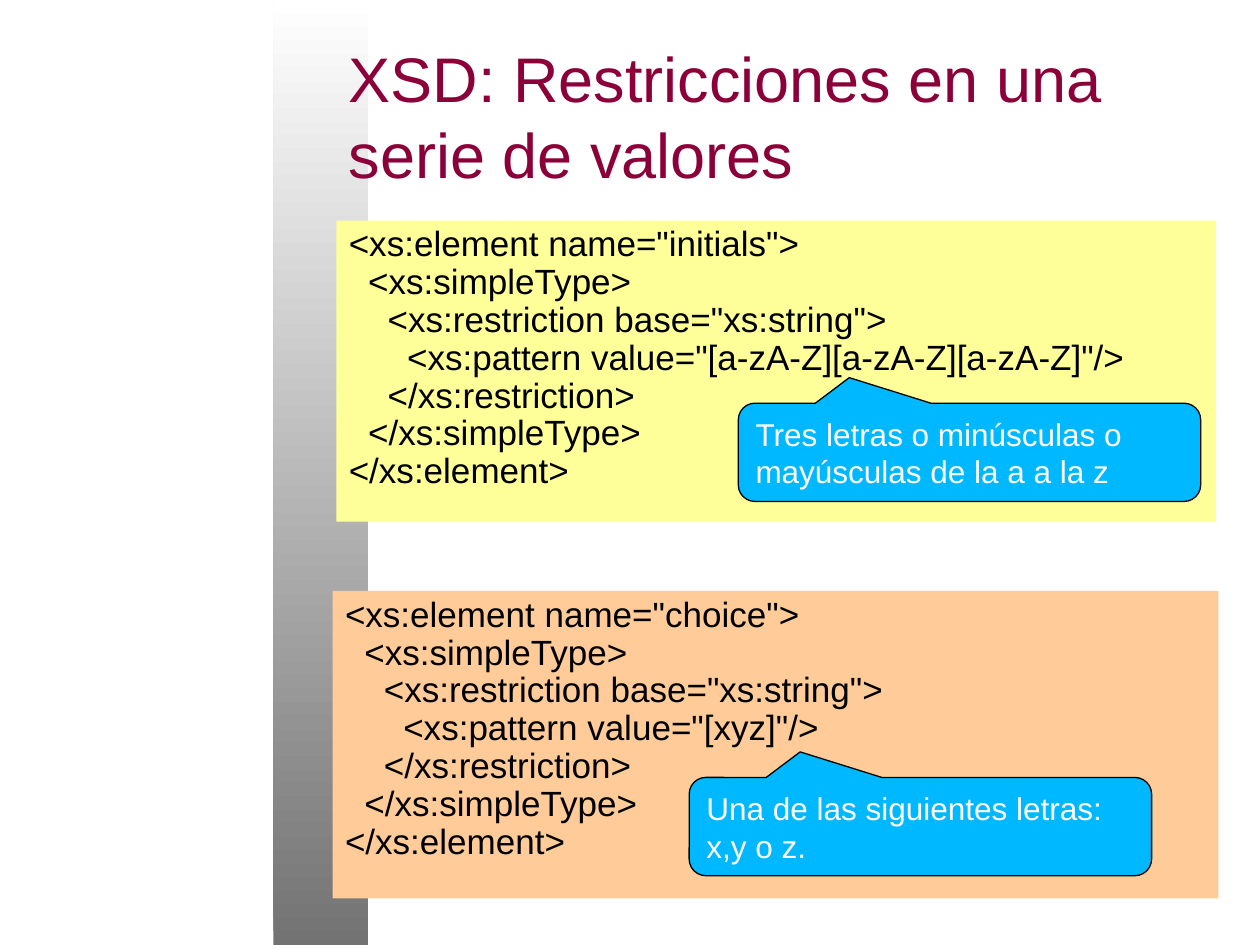
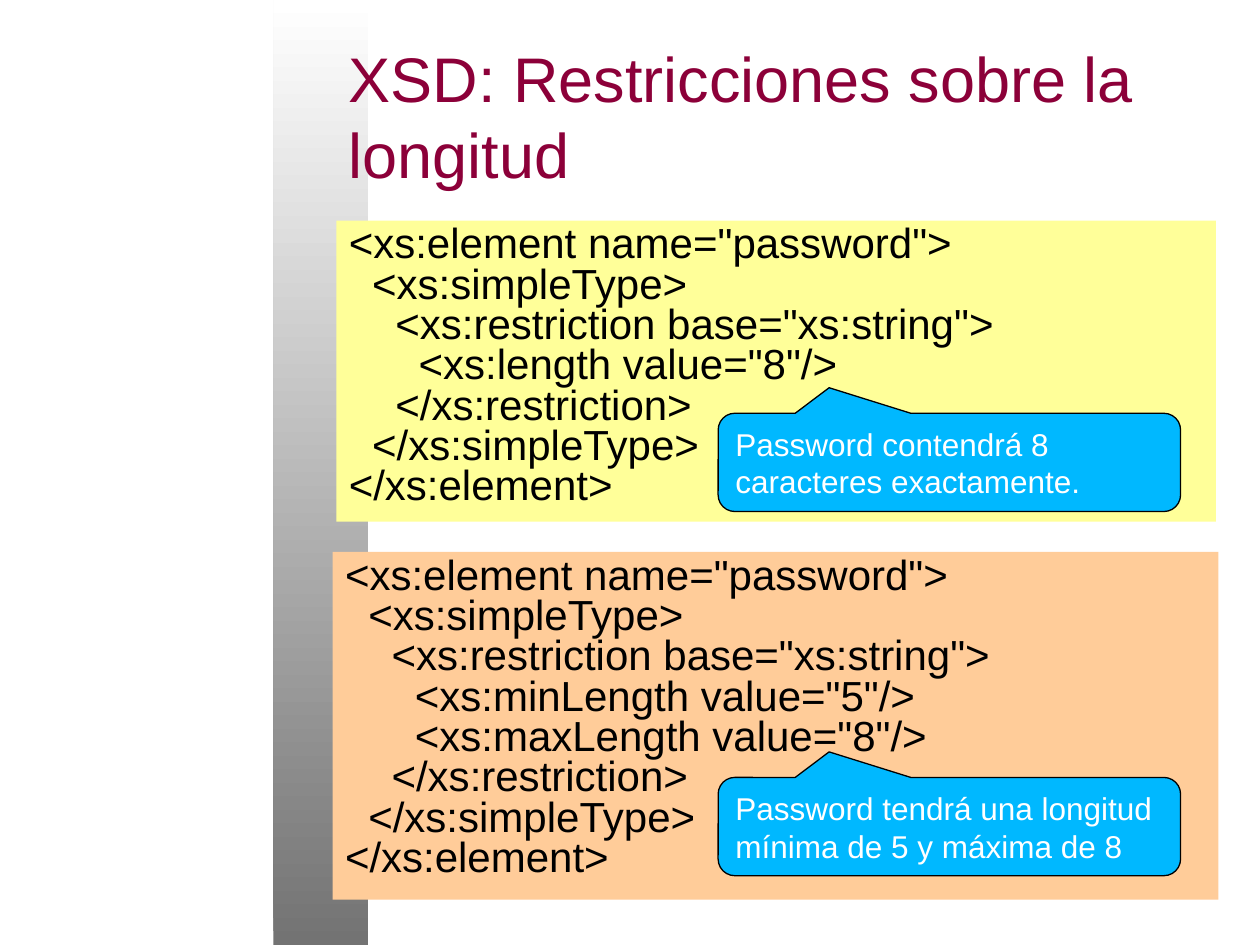
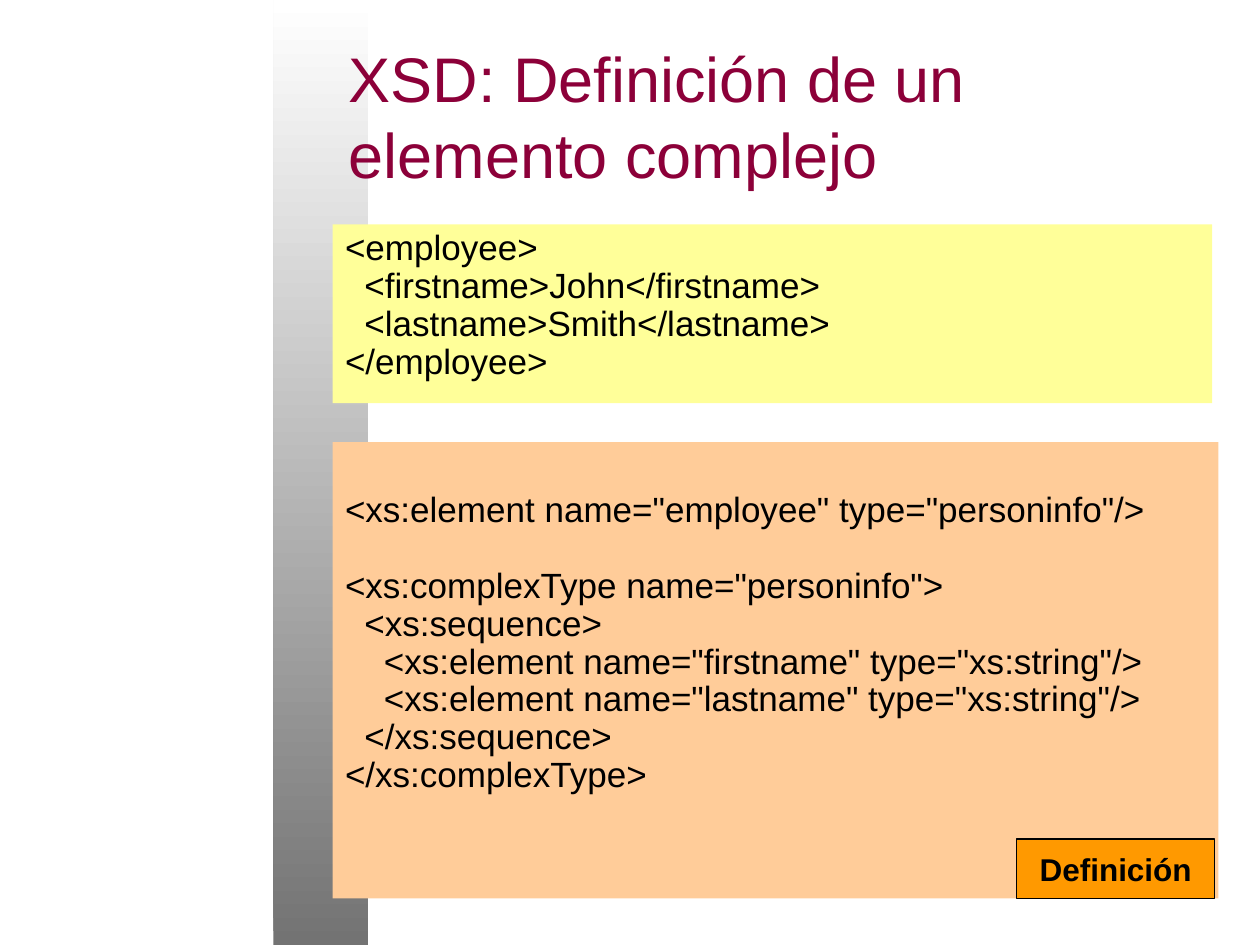
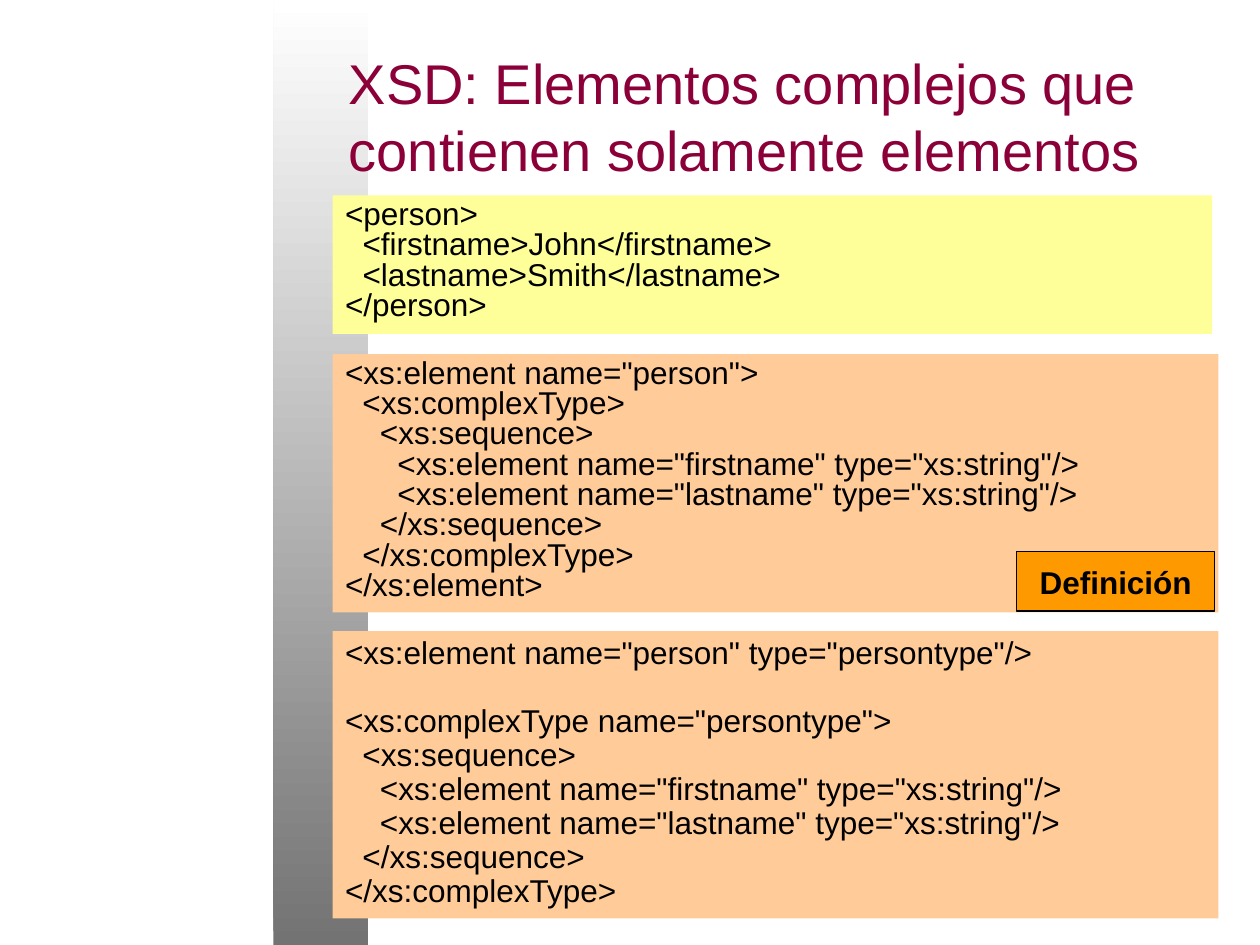
"""Build four slides on XSD restrictions and complex elements."""
from dataclasses import dataclass

from lxml import etree
from pptx import Presentation
from pptx.dml.color import RGBColor
from pptx.enum.shapes import MSO_SHAPE
from pptx.enum.text import MSO_ANCHOR, PP_ALIGN
from pptx.oxml.ns import qn
from pptx.shapes.autoshape import Shape
from pptx.slide import Slide
from pptx.util import Inches, Pt

RECTANGLE = MSO_SHAPE.RECTANGLE
CALLOUT_SHAPE = MSO_SHAPE.ROUNDED_RECTANGULAR_CALLOUT
TOP, MIDDLE = MSO_ANCHOR.TOP, MSO_ANCHOR.MIDDLE
LEFT, CENTER = PP_ALIGN.LEFT, PP_ALIGN.CENTER


@dataclass(frozen=True)
class Theme:
    """Colours, font and type sizes of the deck."""

    font: str = "Arial"
    title: str = "8C0039"
    text: str = "000000"
    light_text: str = "FFFFFF"
    example: str = "FFFF99"
    definition: str = "FFCC99"
    callout: str = "00B8FF"
    label: str = "FF9900"
    band_dark: str = "737373"
    band_light: str = "FFFFFF"
    title_size: int = 36
    long_title_size: int = 32
    large_code_size: int = 24
    code_size: int = 20
    small_size: int = 18
    outline: float = 0.75


THEME = Theme()


@dataclass(frozen=True)
class Panel:
    """A filled block of code."""

    code: str
    top: float
    height: float
    left: float = 2.64
    width: float = 7.03
    fill: str = THEME.definition
    size: int = THEME.code_size
    spacing: float = 0.9
    margin_top: float = 0.05


@dataclass(frozen=True)
class Callout:
    """A speech bubble that explains a line of code."""

    text: str
    left: float
    top: float


@dataclass(frozen=True)
class Page:
    """The content of one slide."""

    title: str
    panels: tuple[Panel, ...]
    callouts: tuple[Callout, ...] = ()
    label_top: float | None = None
    title_size: int = THEME.title_size


def enclose(opening: str, *children: str) -> str:
    """Return an XML element with its children indented by two spaces."""
    lines = [f"  {line}" for child in children for line in child.split("\n")]
    return "\n".join([f"<{opening}>", *lines, f"</{opening.split()[0]}>"])


def restricted(name: str, *facets: str) -> str:
    """Return the schema of a string element limited by facets."""
    restriction = enclose('xs:restriction base="xs:string"', *facets)
    return enclose(f'xs:element name="{name}"', enclose("xs:simpleType", restriction))


def person_example(tag: str) -> str:
    """Return a sample document with a first and a last name."""
    return enclose(tag, "<firstname>John</firstname>", "<lastname>Smith</lastname>")


NAME_SEQUENCE = enclose(
    "xs:sequence",
    *(f'<xs:element name="{name}" type="xs:string"/>' for name in ("firstname", "lastname")),
)


def named_type(element: str, type_name: str) -> str:
    """Return an element declaration followed by its named complex type."""
    declaration = f'<xs:element name="{element}" type="{type_name}"/>'
    definition = enclose(f'xs:complexType name="{type_name}"', NAME_SEQUENCE)
    return f"{declaration}\n\n{definition}"


def example_panel(code: str, top: float, height: float, left: float = 2.64,
                  size: int = THEME.code_size, spacing: float = 0.9) -> Panel:
    """Return a panel in the style of the first block on each slide."""
    return Panel(code, top, height, left, 6.98, THEME.example, size, spacing)


PAGES = (
    Page(
        "XSD: Restricciones en una serie de valores",
        (
            example_panel(restricted("initials", '<xs:pattern value="[a-zA-Z][a-zA-Z][a-zA-Z]"/>'),
                          1.75, 2.39, 2.67),
            Panel(restricted("choice", '<xs:pattern value="[xyz]"/>'), 4.69, 2.44),
        ),
        (
            Callout("Tres letras o minúsculas o mayúsculas de la a a la z", 5.86, 3.2),
            Callout("Una de las siguientes letras: x,y o z.", 5.47, 6.17),
        ),
    ),
    Page(
        "XSD: Restricciones sobre la longitud",
        (
            example_panel(restricted("password", '<xs:length value="8"/>'),
                          1.75, 2.39, 2.67, THEME.large_code_size, 0.8),
            Panel(restricted("password", '<xs:minLength value="5"/>', '<xs:maxLength value="8"/>'),
                  4.38, 2.76, size=THEME.large_code_size, spacing=0.8),
        ),
        (
            Callout("Password contendrá 8 caracteres exactamente.", 5.7, 3.28),
            Callout("Password tendrá una longitud mínima de 5 y máxima de 8", 5.7, 6.17),
        ),
    ),
    Page(
        "XSD: Definición de un elemento complejo",
        (
            example_panel(person_example("employee"), 1.78, 1.42),
            Panel(named_type("employee", "personinfo"), 3.51, 3.62, margin_top=0.4),
        ),
        label_top=6.66,
    ),
    Page(
        "XSD: Elementos complejos que contienen solamente elementos",
        (
            example_panel(person_example("person"), 1.55, 1.1,
                          size=THEME.small_size, spacing=0.8),
            Panel(enclose('xs:element name="person"', enclose("xs:complexType", NAME_SEQUENCE)),
                  2.81, 2.05, size=THEME.small_size, spacing=0.8),
            Panel(named_type("person", "persontype"), 5.01, 2.28, size=THEME.small_size),
        ),
        label_top=4.38,
        title_size=THEME.long_title_size,
    ),
)


def color(value: str) -> RGBColor:
    """Return the colour for a hexadecimal value."""
    return RGBColor.from_string(value)


def add_box(slide: Slide, left: float, top: float, width: float, height: float,
            fill: str, geometry: MSO_SHAPE = RECTANGLE, outlined: bool = False) -> Shape:
    """Draw a flat filled shape, with a thin outline on request."""
    shape = slide.shapes.add_shape(
        geometry, Inches(left), Inches(top), Inches(width), Inches(height))
    shape.shadow.inherit = False
    shape.fill.solid()
    shape.fill.fore_color.rgb = color(fill)
    if outlined:
        shape.line.color.rgb = color(THEME.text)
        shape.line.width = Pt(THEME.outline)
    else:
        shape.line.fill.background()
    return shape


def write(shape: Shape, text: str, size: int, text_color: str = THEME.text,
          anchor: MSO_ANCHOR = MIDDLE, alignment: PP_ALIGN = LEFT,
          bold: bool = False, spacing: float = 1.0) -> None:
    """Write one paragraph, in which newlines become line breaks."""
    frame = shape.text_frame
    frame.word_wrap = True
    frame.vertical_anchor = anchor
    paragraph = frame.paragraphs[0]
    paragraph.text = text
    paragraph.alignment = alignment
    paragraph.line_spacing = spacing
    for run in paragraph.runs:
        run.font.name = THEME.font
        run.font.size = Pt(size)
        run.font.bold = bold
        run.font.color.rgb = color(text_color)
    for line_break in paragraph._p.findall(qn("a:br")):
        etree.SubElement(line_break, qn("a:rPr"), sz=str(size * 100))


def add_band(slide: Slide) -> None:
    """Draw the vertical band that fades towards the top."""
    band = add_box(slide, 2.17, 0, 0.75, 7.5, THEME.band_dark)
    band.fill.gradient()
    band.fill.gradient_angle = 90
    for stop, value in zip(band.fill.gradient_stops, (THEME.band_dark, THEME.band_light)):
        stop.color.rgb = color(value)


def add_title(slide: Slide, text: str, size: int) -> None:
    """Write the slide title."""
    title = slide.shapes.add_textbox(Inches(2.67), Inches(0.25), Inches(7), Inches(1.33))
    write(title, text, size, THEME.title)


def add_panel(slide: Slide, panel: Panel) -> None:
    """Draw a block of code."""
    shape = add_box(slide, panel.left, panel.top, panel.width, panel.height, panel.fill)
    shape.text_frame.margin_top = Inches(panel.margin_top)
    write(shape, panel.code, panel.size, anchor=TOP, spacing=panel.spacing)


def add_callout(slide: Slide, callout: Callout) -> None:
    """Draw a speech bubble pointing up at the code."""
    shape = add_box(slide, callout.left, callout.top, 3.67, 0.78,
                    THEME.callout, CALLOUT_SHAPE, outlined=True)
    for index, value in enumerate((-0.26, -0.76, 0.17)):
        shape.adjustments[index] = value
    write(shape, callout.text, THEME.small_size, THEME.light_text)


def add_label(slide: Slide, top: float) -> None:
    """Draw the tag that marks a definition."""
    shape = add_box(slide, 8.07, top, 1.57, 0.47, THEME.label, outlined=True)
    write(shape, "Definición", THEME.small_size, alignment=CENTER, bold=True)
    shape.text_frame.word_wrap = False


def add_page(presentation: Presentation, page: Page) -> None:
    """Add one slide with its title, code, callouts and label."""
    slide = presentation.slides.add_slide(presentation.slide_layouts[6])
    add_band(slide)
    add_title(slide, page.title, page.title_size)
    for panel in page.panels:
        add_panel(slide, panel)
    for callout in page.callouts:
        add_callout(slide, callout)
    if page.label_top is not None:
        add_label(slide, page.label_top)


def main() -> None:
    """Build and save the presentation."""
    presentation = Presentation()
    presentation.slide_width = Inches(10)
    presentation.slide_height = Inches(7.5)
    for page in PAGES:
        add_page(presentation, page)
    presentation.save("out.pptx")


if __name__ == "__main__":
    main()
